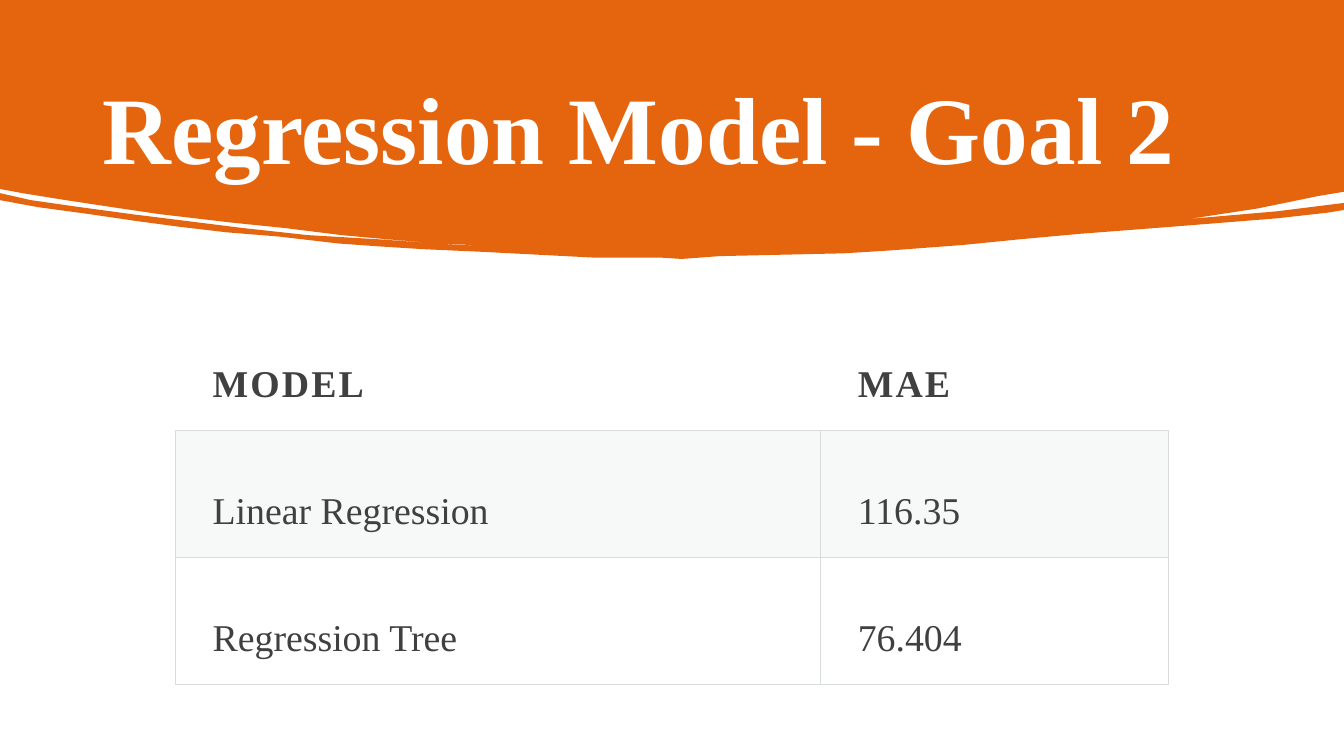
from lxml import etree
from pptx import Presentation
from pptx.dml.color import RGBColor
from pptx.enum import shapes, text
from pptx.oxml.ns import qn
from pptx.util import Pt

TITLE = "Regression Model - Goal 2"
HEADER = ("MODEL", "MAE")
RESULTS = [("Linear Regression", "116.35"), ("Regression Tree", "76.404")]

THEME = {
    "font": "Times New Roman",
    "paper": "FFFFFF", "band": "E4650E", "ink": "404040",
    "tint": "D8DEDC", "tint_alpha": 20, "rule": "D8DCDC", "rule_width": 0.75,
    "title_size": 68, "table_size": 27, "header_tracking": 1.5,
}

SLIDE_W, SLIDE_H = 960, 540
TITLE_BOX = (66.24, 31.68, 828, 105.84)
TABLE_LEFT, TABLE_TOP = 125.28, 216.72
COLUMN_WIDTHS = (460.8, 248.4)
ROW_HEIGHT = 84.96
TITLE_MARGINS = {"margin_left": 7.2, "margin_right": 7.2,
                 "margin_top": 15.6, "margin_bottom": 3.6}
CELL_MARGINS = {"margin_left": 26.64, "margin_right": 41.04,
                "margin_top": 12.96, "margin_bottom": 12.96}

# The band's outline, clockwise from the top right corner, in points
RIGHT_SLIT = [
    (960, 136.8), (942.5, 140.4), (897.5, 148.6), (852.5, 156.2), (846, 157),
    (854, 156.2), (911.5, 151.2), (960, 145.4),
]
LOWER_EDGE = [
    (960, 150.5), (947.5, 151.9), (911.5, 155.5), (836.6, 162), (771.8, 167),
    (727.9, 171.4), (687.6, 175), (635, 178.6), (602.6, 180.7), (514, 182.9),
    (486.7, 185), (470.9, 184.3), (422.6, 183.6), (345.6, 180), (302.4, 177.8),
    (270, 175.7), (241.9, 173.5), (198.7, 169.2), (162, 165.6), (128.2, 162),
    (97.9, 157.7), (64.1, 153.4), (27.4, 147.6), (0, 142.6),
]
LEFT_SLIT = [
    (0, 138.2), (21.6, 142.6), (56.9, 147.6), (94.3, 153.4), (133.9, 158.4),
    (174.2, 162.7), (220.3, 167.8), (270.7, 171.4), (326.9, 175), (362.9, 176.4),
    (356.4, 176.4), (313.9, 173.5), (277.2, 170.6), (244, 167.8), (204.5, 163.4),
    (164.9, 159.1), (113.8, 153.4), (79.9, 148.3), (46.8, 143.3), (15.8, 138.2),
    (0, 135.4),
]


def paint(shape, color):
    shape.shadow.inherit = False
    shape.fill.solid()
    shape.fill.fore_color.rgb = RGBColor.from_string(color)
    shape.line.fill.background()


def write(paragraph, words, size, color, bold):
    run = paragraph.add_run()
    run.text = words
    style = {"name": THEME["font"], "size": Pt(size), "bold": bold}
    for key, value in style.items():
        setattr(run.font, key, value)
    run.font.color.rgb = RGBColor.from_string(color)
    return run


def set_margins(target, margins):
    for side, length in margins.items():
        setattr(target, side, Pt(length))


def add_border(cell, sides):
    """Rule the given sides; borders must precede the fill in the cell properties."""
    props = cell._tc.get_or_add_tcPr()
    for position, side in enumerate(sides):
        line = etree.Element(qn(f"a:ln{side}"), w=str(Pt(THEME["rule_width"])))
        fill = etree.SubElement(line, qn("a:solidFill"))
        etree.SubElement(fill, qn("a:srgbClr"), val=THEME["rule"])
        props.insert(position, line)


def tint(cell):
    cell.fill.solid()
    cell.fill.fore_color.rgb = RGBColor.from_string(THEME["tint"])
    color = cell._tc.tcPr.find(qn("a:solidFill")).find(qn("a:srgbClr"))
    etree.SubElement(color, qn("a:alpha"), val=str(THEME["tint_alpha"] * 1000))


def add_band(slide):
    builder = slide.shapes.build_freeform(SLIDE_W, 0, scale=Pt(1))
    builder.add_line_segments(RIGHT_SLIT + LOWER_EDGE + LEFT_SLIT + [(0, 0)], close=True)
    paint(builder.convert_to_shape(), THEME["band"])


def add_title(slide):
    frame = slide.shapes.add_textbox(*map(Pt, TITLE_BOX)).text_frame
    frame.word_wrap = True
    frame.vertical_anchor = text.MSO_ANCHOR.MIDDLE
    set_margins(frame, TITLE_MARGINS)
    write(frame.paragraphs[0], TITLE, THEME["title_size"], THEME["paper"], True)


def add_results(slide):
    rows = [HEADER] + RESULTS
    table = slide.shapes.add_table(
        len(rows), len(HEADER), Pt(TABLE_LEFT), Pt(TABLE_TOP),
        Pt(sum(COLUMN_WIDTHS)), Pt(ROW_HEIGHT * len(rows))).table
    for column, width in zip(table.columns, COLUMN_WIDTHS):
        column.width = Pt(width)
    for r, row in enumerate(rows):
        table.rows[r].height = Pt(ROW_HEIGHT)
        is_header = r == 0
        for c, words in enumerate(row):
            cell = table.cell(r, c)
            set_margins(cell, CELL_MARGINS)
            if r % 2:
                tint(cell)
            else:
                cell.fill.background()
            add_border(cell, "B" if is_header else "LRTB")
            paragraph = cell.text_frame.paragraphs[0]
            paragraph.alignment = text.PP_ALIGN.JUSTIFY
            paragraph.line_spacing = 2.0
            run = write(paragraph, words, THEME["table_size"], THEME["ink"], is_header)
            if is_header:
                run.font._element.set("spc", str(int(THEME["header_tracking"] * 100)))


def main():
    deck = Presentation()
    deck.slide_width, deck.slide_height = Pt(SLIDE_W), Pt(SLIDE_H)
    slide = deck.slides.add_slide(deck.slide_layouts[6])
    paper = slide.shapes.add_shape(
        shapes.MSO_SHAPE.RECTANGLE, 0, 0, Pt(SLIDE_W), Pt(SLIDE_H))
    paint(paper, THEME["paper"])
    add_band(slide)
    add_title(slide)
    add_results(slide)
    deck.save("out.pptx")


if __name__ == "__main__":
    main()
